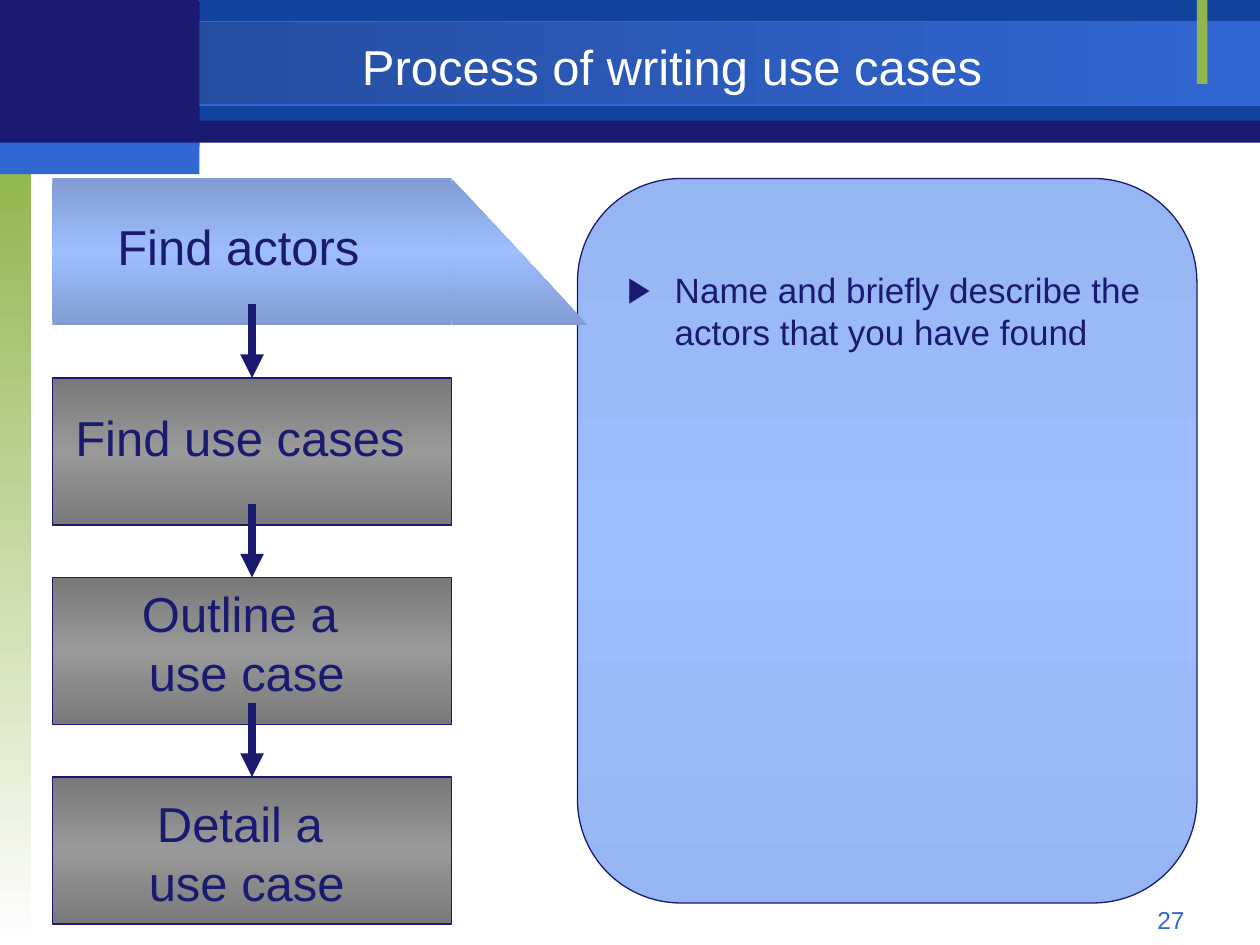
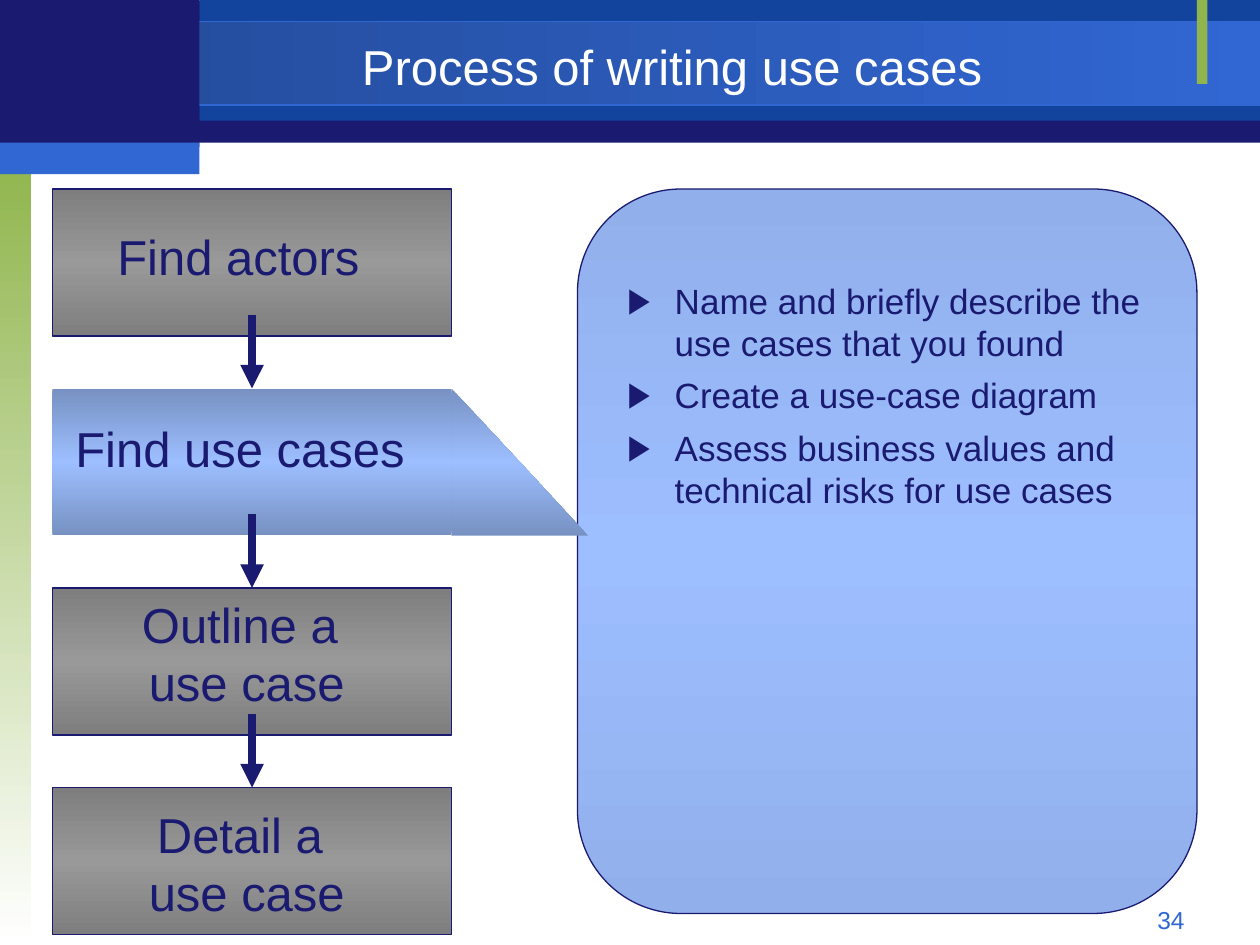
from lxml import etree
from pptx import Presentation
from pptx.dml.color import RGBColor
from pptx.enum.shapes import MSO_CONNECTOR, MSO_SHAPE
from pptx.enum.text import MSO_ANCHOR, PP_ALIGN
from pptx.oxml.ns import qn
from pptx.util import Pt

RECT = MSO_SHAPE.RECTANGLE
ROUNDED = MSO_SHAPE.ROUNDED_RECTANGLE
TRIANGLE = MSO_SHAPE.ISOSCELES_TRIANGLE
STRAIGHT = MSO_CONNECTOR.STRAIGHT
MIDDLE = MSO_ANCHOR.MIDDLE
LEFT, CENTER, RIGHT = PP_ALIGN.LEFT, PP_ALIGN.CENTER, PP_ALIGN.RIGHT

FONT = "Arial"
COLORS = {
    "navy": "1A1A70", "royal": "12449E", "blue": "3167D3", "deep": "234A97",
    "green": "90B54D", "white": "FFFFFF", "sky": "9DBEFF", "gray": "999999",
}
DOWN = 90

# Process column: left, width, height and distance between steps
STEP_X, STEP_W, STEP_H, STEP_PITCH = 30, 228, 84, 114
ARROW_START = 72

# Label lines, left, offset from the step's top, width, height, alignment
STEPS = [
    (["Find actors"], 60, 18, 186, 41, LEFT),
    (["Find use cases"], 36, 13.5, 222, 41, LEFT),
    (["Outline a ", "use case"], 48, 0, 186, 74, CENTER),
    (["Detail a ", "use case"], 48, 6, 186, 74, CENTER),
]

# The edge colours shade the panel, the active step and the idle steps
SLIDES = [
    {"number": "27", "top": 102, "active": 0, "list_height": 92,
     "panel_edge": "96B5F3", "active_edge": "819CD2", "idle_edge": "797979",
     "bullets": ["Name and briefly describe the actors that you have found"]},
    {"number": "34", "top": 108, "active": 1, "list_height": 211,
     "panel_edge": "91AFEB", "active_edge": "7791C2", "idle_edge": "7E7E7E",
     "bullets": ["Name and briefly describe the use cases that you found",
                 "Create a use-case diagram",
                 "Assess business values and technical risks for use cases"]},
]


def rgb(name):
    return RGBColor.from_string(COLORS.get(name, name))


def set_gradient(sp, colors, angle):
    sp.fill.gradient()
    grad = sp._element.spPr.find(qn("a:gradFill"))
    stops = grad.find(qn("a:gsLst"))
    for gs in list(stops):
        stops.remove(gs)
    for i, color in enumerate(colors):
        gs = etree.SubElement(stops, qn("a:gs"), pos=str(i * 100000 // (len(colors) - 1)))
        etree.SubElement(gs, qn("a:srgbClr"), val=COLORS.get(color, color))
    grad.find(qn("a:lin")).set("ang", str(angle * 60000))


def add_block(slide, kind, box, fill, line=None, angle=DOWN):
    """Add a preset shape; a list of colours as fill makes a gradient."""
    sp = slide.shapes.add_shape(kind, *map(Pt, box))
    sp.shadow.inherit = False
    if isinstance(fill, list):
        set_gradient(sp, fill, angle)
    else:
        sp.fill.solid()
        sp.fill.fore_color.rgb = rgb(fill)
    if line:
        sp.line.color.rgb = rgb(line)
        sp.line.width = Pt(0.75)
    else:
        sp.line.fill.background()
    return sp


def write_lines(p, lines, size, color, align):
    p.alignment = align
    p.line_spacing = Pt(size * 1.2)
    for i, line in enumerate(lines):
        if i:
            p.add_line_break()
        r = p.add_run()
        r.text = line
        r.font.name = FONT
        r.font.size = Pt(size)
        r.font.color.rgb = rgb(color)


def add_text_frame(slide, box):
    tf = slide.shapes.add_textbox(*map(Pt, box)).text_frame
    tf.word_wrap = True
    return tf


def add_label(slide, box, lines, size, color, align):
    write_lines(add_text_frame(slide, box).paragraphs[0], lines, size, color, align)


def add_bullets(slide, box, items):
    tf = add_text_frame(slide, box)
    for i, item in enumerate(items):
        p = tf.add_paragraph() if i else tf.paragraphs[0]
        p.level = 1
        if i:
            p.space_before = Pt(6)
        write_lines(p, [item], 20, "navy", LEFT)
        pPr = p._p.get_or_add_pPr()
        pPr.set("marL", str(Pt(36.5)))
        pPr.set("indent", str(Pt(-27)))
        color = etree.SubElement(pPr, qn("a:buClr"))
        etree.SubElement(color, qn("a:srgbClr"), val=COLORS["navy"])
        etree.SubElement(pPr, qn("a:buFont"), typeface=FONT)
        etree.SubElement(pPr, qn("a:buChar"), char="▶")


def add_arrow(slide, x, y, target):
    line = slide.shapes.add_connector(STRAIGHT, Pt(x), Pt(y), Pt(x), target.top)
    line.end_connect(target, 0)
    line.line.color.rgb = rgb("navy")
    line.line.width = Pt(4.5)
    etree.SubElement(line.line._get_or_add_ln(), qn("a:tailEnd"), type="triangle")
    etree.SubElement(line._element.spPr, qn("a:effectLst"))


def move_bands_to_layout(slide, layout):
    """Draw the header and side bands, then place them behind the layout's title."""
    bands = [
        add_block(slide, RECT, (0, 0.5, 720, 81), "navy"),
        add_block(slide, RECT, (114, 0, 606, 69), "royal"),
        add_block(slide, RECT, (0, 12.5, 720, 47.5), ["deep", "blue"], "blue", angle=0),
        add_block(slide, RECT, (0, 90, 18, 450), ["green", "white"]),
        add_block(slide, RECT, (684, 0, 6, 48), "green"),
        add_block(slide, RECT, (0, 0, 114, 84), "navy"),
        add_block(slide, RECT, (0, 81.5, 114, 18), "blue"),
    ]
    for i, band in enumerate(bands):
        el = band._element
        el.nvSpPr.cNvPr.id = 20 + i
        layout.shapes._spTree.insert(2 + i, el)


def set_title(slide, text):
    sp = slide.shapes.title
    sp.left, sp.top, sp.width, sp.height = map(Pt, (114, 16.5, 540, 42))
    tf = sp.text_frame
    tf.vertical_anchor = MIDDLE
    write_lines(tf.paragraphs[0], [text], 28, "white", CENTER)


def add_process(slide, top, active, active_edge, idle_edge):
    boxes = []
    for i, (lines, x, dy, w, h, align) in enumerate(STEPS):
        y = top + i * STEP_PITCH
        if i == active:
            fill, line = [active_edge, "sky", active_edge], None
        else:
            fill, line = [idle_edge, "gray", idle_edge], "navy"
        boxes.append(add_block(slide, RECT, (STEP_X, y, STEP_W, STEP_H), fill, line))
        add_label(slide, (x, y + dy, w, h), lines, 28, "navy", align)
    for i, target in enumerate(boxes[1:]):
        add_arrow(slide, STEP_X + STEP_W / 2, top + i * STEP_PITCH + ARROW_START, target)
    # Pointer from the active step to the panel
    pointer = add_block(slide, TRIANGLE,
                        (STEP_X + STEP_W, top + active * STEP_PITCH, 78, STEP_H),
                        [active_edge, "sky", active_edge])
    pointer.adjustments[0] = 0


def add_panel(slide, top, edge, bullets, list_height):
    panel = add_block(slide, ROUNDED, (330, top, 354, 414), [edge, "sky", edge], "navy")
    panel.adjustments[0] = 0.167
    add_bullets(slide, (342, top + 48, 330, list_height), bullets)


def main():
    prs = Presentation()
    prs.slide_width, prs.slide_height = Pt(720), Pt(540)
    layout = prs.slide_layouts[5]
    for i, data in enumerate(SLIDES):
        slide = prs.slides.add_slide(layout)
        if i == 0:
            move_bands_to_layout(slide, layout)
        set_title(slide, "Process of writing use cases")
        add_panel(slide, data["top"], data["panel_edge"], data["bullets"],
                  data["list_height"])
        add_process(slide, data["top"], data["active"], data["active_edge"],
                    data["idle_edge"])
        add_label(slide, (516, 513.5, 168, 19.5), [data["number"]], 14, "blue", RIGHT)
    prs.save("out.pptx")


if __name__ == "__main__":
    main()
